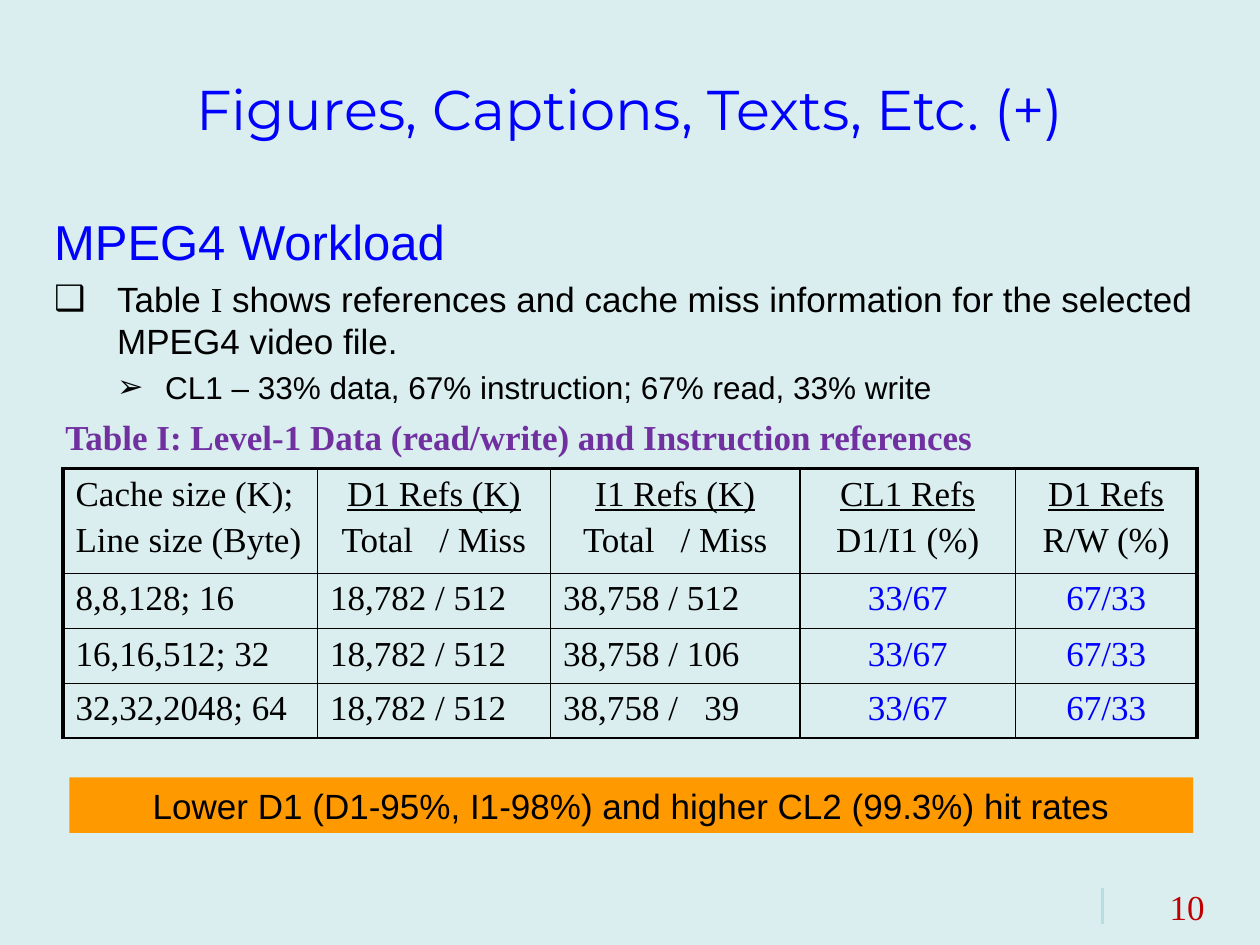
from lxml import etree
from pptx import Presentation
from pptx.dml.color import RGBColor
from pptx.enum.shapes import MSO_CONNECTOR, MSO_SHAPE
from pptx.enum.text import MSO_ANCHOR, MSO_AUTO_SIZE, PP_ALIGN
from pptx.oxml.ns import qn
from pptx.util import Inches, Pt

LEFT, CENTER, RIGHT = PP_ALIGN.LEFT, PP_ALIGN.CENTER, PP_ALIGN.RIGHT
MIDDLE = MSO_ANCHOR.MIDDLE
NO_AUTOFIT = MSO_AUTO_SIZE.NONE
STRAIGHT = MSO_CONNECTOR.STRAIGHT
RECTANGLE = MSO_SHAPE.RECTANGLE

COLORS = {
    "background": "DAEDEF",
    "rule": "BADDE1",
    "blue": "0000FF",
    "black": "000000",
    "purple": "7030A0",
    "red": "C00000",
    "orange": "FF9900",
}
SANS, SERIF, DISPLAY = "Arial", "Times New Roman", "Montserrat"

HEADER = [
    ("Cache size (K);", "Line size (Byte)"),
    ("D1 Refs (K)", "Total   / Miss"),
    ("I1 Refs (K)", "Total   / Miss"),
    ("CL1 Refs", "D1/I1 (%)"),
    ("D1 Refs", "R/W (%)"),
]
ROWS = [
    ("8,8,128; 16", "18,782 / 512", "38,758 / 512", "33/67", "67/33"),
    ("16,16,512; 32", "18,782 / 512", "38,758 / 106", "33/67", "67/33"),
    ("32,32,2048; 64", "18,782 / 512", "38,758 /   39", "33/67", "67/33"),
]
COLUMN_WIDTHS = [2.02, 1.85, 1.98, 1.71, 1.44]
ROW_HEIGHTS = [0.83, 0.44, 0.43, 0.43]
FIRST_PERCENT_COLUMN = 3


def color(name):
    return RGBColor.from_string(COLORS[name])


def inches(box):
    return [Inches(length) for length in box]


def place(shape, box):
    shape.left, shape.top, shape.width, shape.height = inches(box)


def write(paragraph, text, size=20, font=SANS, fill="black", bold=False,
          underline=False, align=LEFT, before=0):
    """Add one formatted run to a paragraph and set the paragraph's layout."""
    paragraph.alignment = align
    paragraph.space_before = Pt(before)
    run = paragraph.add_run()
    run.text = text
    run.font.size = Pt(size)
    run.font.name = font
    run.font.bold = bold
    run.font.underline = underline
    run.font.color.rgb = color(fill)


def set_bullet(paragraph, symbol, margin, hanging):
    """Give a paragraph a hanging indent and a bullet, or none if symbol is None."""
    properties = paragraph._p.get_or_add_pPr()
    properties.set("marL", str(Inches(margin)))
    properties.set("indent", str(-Inches(hanging)))
    if symbol is None:
        etree.SubElement(properties, qn("a:buNone"))
    else:
        etree.SubElement(properties, qn("a:buChar"), char=symbol)


def set_borders(cell, **widths):
    """Draw the cell's sides, given as L, R, T and B in points."""
    properties = cell._tc.get_or_add_tcPr()
    for side in "LRTB":
        line = etree.SubElement(properties, qn(f"a:ln{side}"), w=str(Pt(widths[side])))
        fill = etree.SubElement(line, qn("a:solidFill"))
        etree.SubElement(fill, qn("a:srgbClr"), val=COLORS["black"])


def add_title(slide, box):
    title = slide.shapes.title
    place(title, box)
    frame = title.text_frame
    frame.auto_size = NO_AUTOFIT
    frame.vertical_anchor = MIDDLE
    write(frame.paragraphs[0], "Figures, Captions, Texts, Etc. (+)",
          size=32, font=DISPLAY, fill="blue", align=CENTER)


def add_body(slide, box):
    body = slide.placeholders[1]
    place(body, box)
    frame = body.text_frame
    frame.auto_size = NO_AUTOFIT
    frame.margin_top = Inches(0.1)

    heading = frame.paragraphs[0]
    set_bullet(heading, None, 0.38, 0.38)
    write(heading, "MPEG4 Workload", size=28, fill="blue")

    point = frame.add_paragraph()
    set_bullet(point, "❑", 0.5, 0.5)
    for text, font in (
        ("Table ", SANS),
        ("I", SERIF),
        (" shows references and cache miss information for the selected "
         "MPEG4 video file.", SANS),
    ):
        write(point, text, font=font, before=4)

    detail = frame.add_paragraph()
    detail.level = 1
    set_bullet(detail, "➢", 0.88, 0.38)
    write(detail, "CL1 – 33% data, 67% instruction; 67% read, 33% write",
          size=18, before=3.6)


def add_text(slide, box, text, **text_format):
    frame = slide.shapes.add_textbox(*inches(box)).text_frame
    frame.word_wrap = True
    write(frame.paragraphs[0], text, **text_format)


def fill_cell(cell, lines, row, column):
    is_header = row == 0
    is_percent = column >= FIRST_PERCENT_COLUMN
    centered = is_percent or (is_header and column > 0)
    for index, text in enumerate(lines):
        frame = cell.text_frame
        paragraph = frame.add_paragraph() if index else frame.paragraphs[0]
        write(paragraph, text, font=SERIF,
              fill="blue" if is_percent and not is_header else "black",
              underline=is_header and column > 0 and index == 0,
              align=CENTER if centered else LEFT,
              before=4 if index else 0)


def add_reference_table(slide, box):
    grid = [HEADER] + [[(text,) for text in row] for row in ROWS]
    last_column = len(COLUMN_WIDTHS) - 1
    table = slide.shapes.add_table(len(grid), len(COLUMN_WIDTHS), *inches(box)).table
    table.first_row = table.horz_banding = False
    for column, width in zip(table.columns, COLUMN_WIDTHS):
        column.width = Inches(width)
    for row, height in zip(table.rows, ROW_HEIGHTS):
        row.height = Inches(height)
    for row, cells in enumerate(grid):
        for column, lines in enumerate(cells):
            cell = table.cell(row, column)
            fill_cell(cell, lines, row, column)
            set_borders(cell, L=2.25 if column == 0 else 1,
                        R=2.25 if column == last_column else 1,
                        T=2.25 if row == 0 else 1, B=1)
            cell.fill.background()


def add_conclusion(slide, box):
    banner = slide.shapes.add_shape(RECTANGLE, *inches(box))
    banner.shadow.inherit = False
    banner.fill.solid()
    banner.fill.fore_color.rgb = color("orange")
    banner.line.fill.background()
    banner.text_frame.word_wrap = True
    banner.text_frame.vertical_anchor = MIDDLE
    write(banner.text_frame.paragraphs[0],
          "Lower D1 (D1-95%, I1-98%) and higher CL2 (99.3%) hit rates", align=CENTER)


def add_page_number(slide, box):
    left, top, _, _ = box
    add_text(slide, box, "10", font=SERIF, fill="red", align=RIGHT)
    rule = slide.shapes.add_connector(
        STRAIGHT, *inches((left + 0.25, top + 0.07, left + 0.25, top + 0.35)))
    rule.line.color.rgb = color("rule")
    rule.line.width = Pt(1.5)
    etree.SubElement(rule._element.spPr, qn("a:effectLst"))


def main():
    presentation = Presentation()
    presentation.slide_width, presentation.slide_height = Inches(10), Inches(7.5)
    slide = presentation.slides.add_slide(presentation.slide_layouts[1])
    slide.background.fill.solid()
    slide.background.fill.fore_color.rgb = color("background")

    add_page_number(slide, (8.5, 6.98, 1.16, 0.44))
    add_title(slide, (0.5, 0.3, 9, 1.12))
    add_body(slide, (0.33, 1.58, 9.33, 1.69))
    add_text(slide, (0.42, 3.25, 9, 0.44),
             "Table I: Level-1 Data (read/write) and Instruction references",
             font=SERIF, fill="purple", bold=True)
    add_reference_table(slide, (0.5, 3.72, 9, sum(ROW_HEIGHTS)))
    add_conclusion(slide, (0.55, 6.17, 8.92, 0.44))
    presentation.save("out.pptx")


if __name__ == "__main__":
    main()
